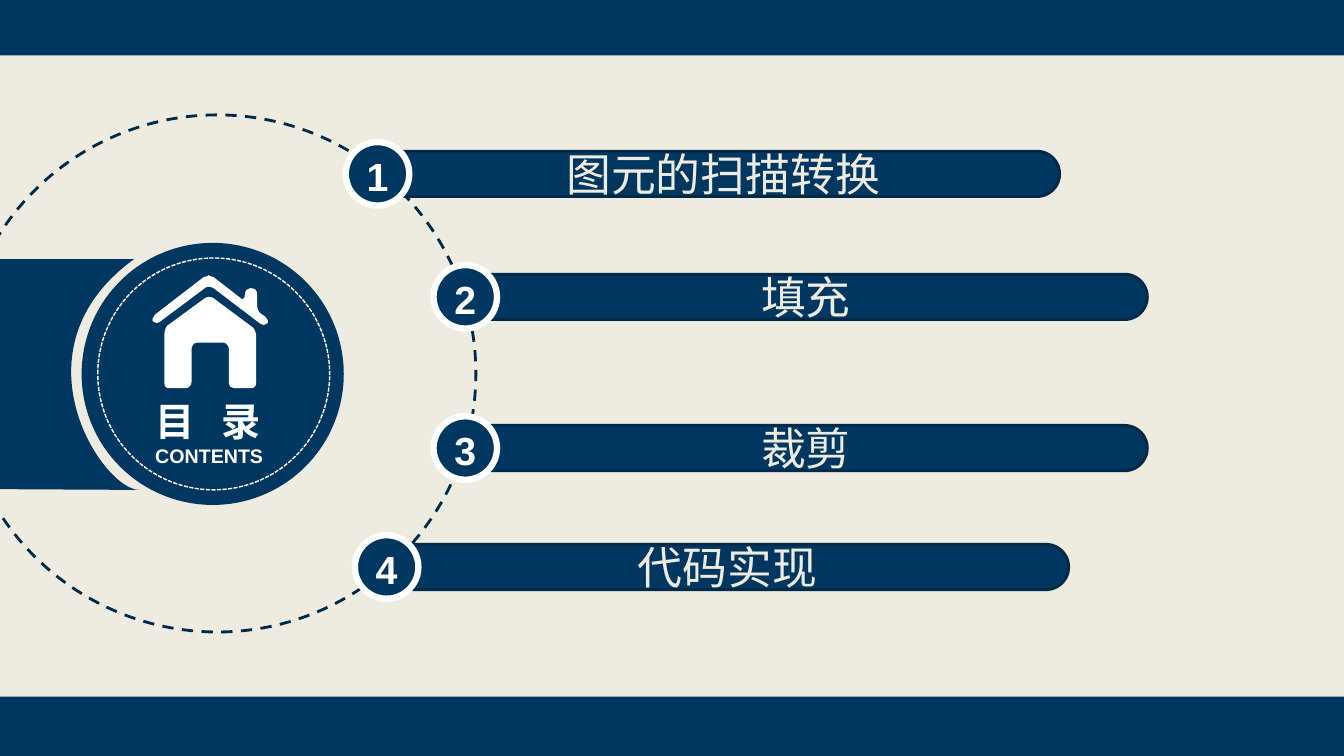
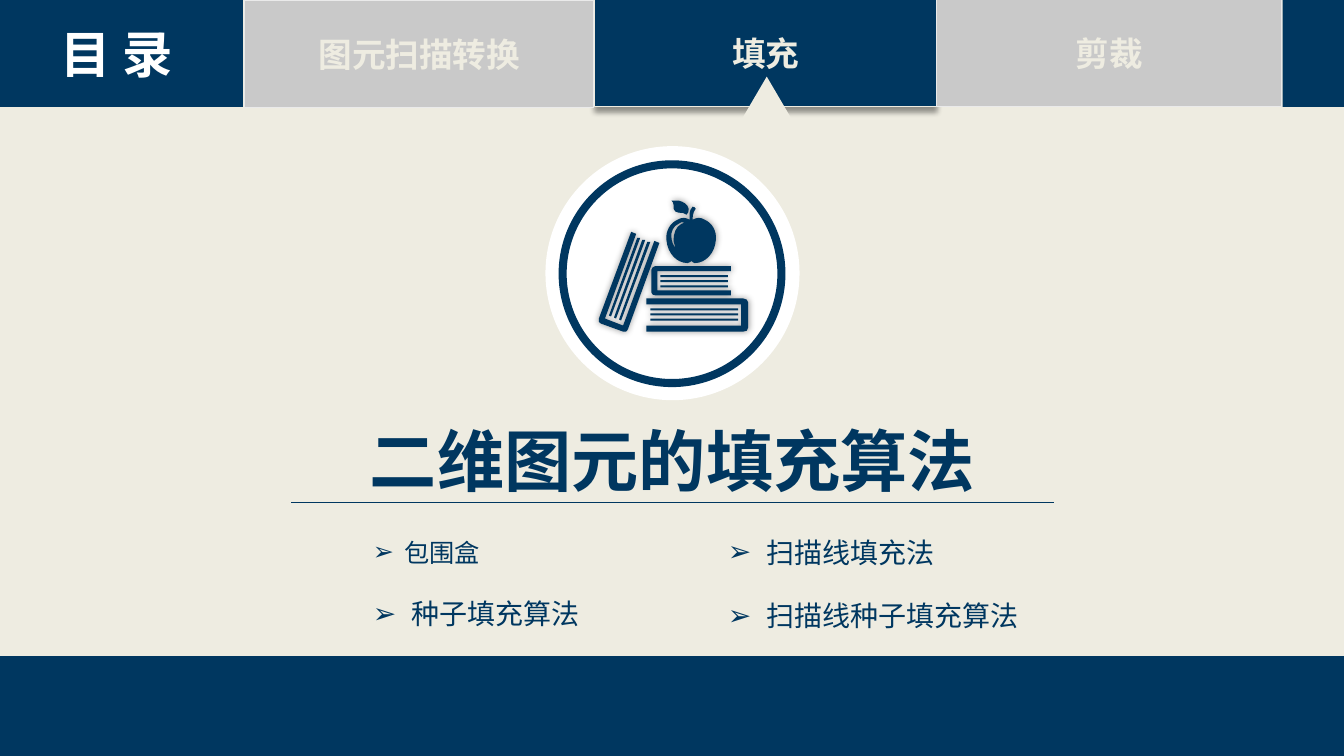
from pptx import Presentation
from pptx.dml.color import RGBColor
from pptx.enum.dml import MSO_LINE
from pptx.enum.shapes import MSO_CONNECTOR, MSO_SHAPE
from pptx.enum.text import MSO_ANCHOR, PP_ALIGN
from pptx.oxml.ns import qn
from pptx.util import Inches, Pt
from lxml.etree import SubElement

# Shared colours and text styles
NAVY, DARK, CREAM, WHITE = "003760", "002947", "EEECE1", "FFFFFF"
GREY, PALE = "C9C9C9", "EAEAEA"
WIDTH, HEIGHT = 13.33, 7.5

HEAD = {"name": "Arial", "size": Pt(36), "bold": True, "color": WHITE}
TITLE = {**HEAD, "size": Pt(48), "color": NAVY}
MARK = {**HEAD, "size": Pt(28)}
SMALL = {**HEAD, "size": Pt(14)}
PILL = {**HEAD, "size": Pt(32), "bold": False, "color": CREAM}
TAB = {**HEAD, "name": "Calibri", "size": Pt(24), "color": CREAM}
ITEM = {**HEAD, "size": Pt(20), "bold": False, "color": NAVY}

# Icon outlines in inches: M moves, L draws lines, C draws curves
HOUSE = """M 2.12 2.96 C 2.1 2.94 2.05 2.94 2.03 2.96 L 1.66 3.23
C 1.64 3.25 1.63 3.29 1.63 3.33 L 1.63 3.79 C 1.63 3.83 1.64 3.85 1.68 3.85
L 1.85 3.85 C 1.86 3.85 1.9 3.83 1.9 3.79 L 1.9 3.46
C 1.9 3.44 1.92 3.4 1.95 3.4 L 2.22 3.4 C 2.25 3.4 2.27 3.44 2.27 3.46
L 2.27 3.79 C 2.27 3.83 2.29 3.85 2.32 3.85 L 2.49 3.85
C 2.53 3.85 2.54 3.83 2.54 3.79 L 2.54 3.33 C 2.54 3.31 2.53 3.27 2.51 3.25"""
ROOF = """M 2.6 3.12 C 2.56 3.1 2.55 3.06 2.55 3.02 L 2.55 2.92
C 2.55 2.88 2.53 2.86 2.49 2.86 L 2.48 2.86 C 2.46 2.86 2.43 2.88 2.43 2.92
C 2.43 2.96 2.41 2.98 2.39 2.96 L 2.12 2.75 C 2.1 2.75 2.07 2.73 2.07 2.73
C 2.07 2.73 2.05 2.75 2.02 2.75 L 1.54 3.12 C 1.52 3.14 1.5 3.18 1.52 3.19
C 1.54 3.21 1.56 3.21 1.59 3.19 L 2.03 2.86 C 2.05 2.84 2.09 2.84 2.12 2.86
L 2.58 3.21 C 2.6 3.23 2.63 3.23 2.65 3.21 C 2.67 3.19 2.65 3.16 2.63 3.14"""
RIBBON = "M -0.5 2.57 L 1.33 2.57 C 0.09 3.47 1.02 4.86 1.38 4.86 L -0.5 4.85"
APPLE = """M 6.73 2.11 C 6.7 2.11 6.69 2.09 6.68 2.07 C 6.68 2.06 6.68 2.04 6.68 2.03
C 6.68 2.01 6.67 2 6.66 1.99 L 6.73 1.99 C 6.77 2 6.82 2.02 6.83 2.07
C 6.83 2.09 6.83 2.12 6.81 2.13 C 6.79 2.11 6.76 2.11 6.73 2.11
M 6.79 2.21 C 6.77 2.2 6.76 2.2 6.73 2.22 C 6.68 2.24 6.65 2.3 6.66 2.36
C 6.66 2.39 6.68 2.44 6.7 2.46 C 6.69 2.44 6.69 2.41 6.68 2.39
C 6.68 2.32 6.7 2.25 6.76 2.22 C 6.77 2.22 6.78 2.21 6.79 2.21
M 6.99 2.18 C 7.06 2.21 7.11 2.29 7.1 2.38 C 7.09 2.51 7 2.61 6.89 2.61
C 6.88 2.61 6.87 2.6 6.86 2.59 C 6.84 2.6 6.83 2.61 6.82 2.61
C 6.71 2.61 6.62 2.51 6.61 2.38 C 6.6 2.29 6.65 2.21 6.72 2.18
C 6.77 2.15 6.8 2.16 6.84 2.18 C 6.84 2.14 6.83 2.09 6.87 2.05
C 6.88 2.05 6.9 2.06 6.9 2.07 C 6.87 2.11 6.87 2.15 6.87 2.18
C 6.91 2.16 6.94 2.15 6.99 2.18"""
COVERS = """M 6.52 2.69 L 6.52 2.88 7.25 2.88 7.25 2.93 6.5 2.93
C 6.48 2.93 6.46 2.92 6.46 2.9 L 6.46 2.68 C 6.46 2.66 6.48 2.64 6.5 2.64
L 7.25 2.64 7.25 2.69
M 7.35 3.02 L 7.35 3.23 6.41 3.23 6.41 3.29 7.37 3.29
C 7.4 3.29 7.42 3.28 7.42 3.25 L 7.42 3 C 7.42 2.98 7.4 2.96 7.37 2.96
L 6.41 2.96 6.41 3.02
M 6 3.16 L 6.18 3.23 6.49 2.39 6.54 2.41 6.23 3.26
C 6.22 3.29 6.2 3.3 6.18 3.29 L 5.96 3.21 C 5.94 3.21 5.93 3.18 5.94 3.16
L 6.26 2.3 6.31 2.32"""


def rgb(tone):
    return RGBColor.from_string(tone)


def paint(shape, fill=None, line=None, width=1, dash=None):
    shape.shadow.inherit = False
    if fill:
        shape.fill.solid()
        shape.fill.fore_color.rgb = rgb(fill)
    else:
        shape.fill.background()
    if line:
        shape.line.color.rgb = rgb(line)
        shape.line.width = Pt(width)
        shape.line.dash_style = dash
    else:
        shape.line.fill.background()
    return shape


def add(slide, kind, box, fill=None, **look):
    shape = slide.shapes.add_shape(kind, *map(Inches, box))
    return paint(shape, fill, **look)


def band(slide, left, top, width, height):
    return add(slide, MSO_SHAPE.RECTANGLE, (left, top, width, height), NAVY)


def shade(shape, blur, gap, angle):
    effects = shape._element.spPr.find(qn("a:effectLst"))
    outer = SubElement(effects, qn("a:outerShdw"), blurRad=str(Pt(blur)),
                       dist=str(Pt(gap)), dir=str(angle * 60000),
                       algn="ctr", rotWithShape="0")
    tone = SubElement(outer, qn("a:srgbClr"), val="000000")
    SubElement(tone, qn("a:alpha"), val="40000")


def write(para, words, style, align=PP_ALIGN.CENTER):
    para.alignment = align
    run = para.add_run()
    run.text = words
    for key, value in style.items():
        if key == "color":
            run.font.color.rgb = rgb(value)
        else:
            setattr(run.font, key, value)
    return run


def label(shape, words, style, **frame):
    frame = {"vertical_anchor": MSO_ANCHOR.MIDDLE, "word_wrap": True, **frame}
    for key, value in frame.items():
        setattr(shape.text_frame, key, value)
    write(shape.text_frame.paragraphs[0], words, style)


def text(slide, box):
    frame = slide.shapes.add_textbox(*map(Inches, box)).text_frame
    frame.word_wrap = True
    return frame


def bullet(slide, box, words, style, indent):
    para = text(slide, box).paragraphs[0]
    props = para._p.get_or_add_pPr()
    props.set("marL", str(Inches(indent)))
    props.set("indent", str(-Inches(indent)))
    SubElement(props, qn("a:buFont"), typeface="Arial")
    SubElement(props, qn("a:buChar"), char="➢")
    write(para, words, style, PP_ALIGN.LEFT)


def trace(outline):
    """Return the points of each contour and the mode of every later point."""
    loops, modes, nums, mode = [], [], [], ""
    for token in outline.split():
        if token in "MLC":
            mode = token
            continue
        nums.append(Inches(float(token)))
        if len(nums) == 2:
            if mode == "M":
                loops.append([])
            else:
                modes.append(mode)
            loops[-1].append(tuple(nums))
            nums = []
    return loops, modes


def bend(shape, modes):
    """Join each three curve points into one cubic segment."""
    lines = list(shape._element.iter(qn("a:lnTo")))
    marked = [line for line, mode in zip(lines, modes) if mode == "C"]
    for first, second, third in zip(*[iter(marked)] * 3):
        cubic = first.getparent().makeelement(qn("a:cubicBezTo"), {})
        first.addprevious(cubic)
        for line in (first, second, third):
            cubic.append(line[0])
            line.getparent().remove(line)


def draw(slide, outline, fill):
    loops, modes = trace(outline)
    pen = slide.shapes.build_freeform(*loops[0][0], scale=1.0)
    for index, (first, *rest) in enumerate(loops):
        if index:
            pen.move_to(*first)
        pen.add_line_segments(rest, close=True)
    shape = pen.convert_to_shape()
    bend(shape, modes)
    return paint(shape, fill)


def pages():
    parts = []
    for left, right, top in ((6.55, 7.22, 2.73), (6.45, 7.32, 3.06)):
        for row in range(3):
            y = top + 0.05 * row
            parts.append(f"M {left} {y} L {right} {y} {right} {y + 0.02} {left} {y + 0.02}")
    for row in range(3):
        x, y = 6.42 - 0.05 * row, 2.4 - 0.02 * row
        parts.append(f"M {x} {y} L {x - 0.28} {y + 0.77} {x - 0.26} {y + 0.78} {x + 0.03} {y}")
    return " ".join(parts)


def entry(slide, number, words, left, top):
    pill = add(slide, MSO_SHAPE.ROUNDED_RECTANGLE, (left + 0.31, top + 0.09, 6.77, 0.45),
               NAVY, line=DARK, width=2)
    pill.adjustments[0] = 0.5
    label(pill, words, PILL)
    disc = add(slide, MSO_SHAPE.OVAL, (left, top, 0.63, 0.63), NAVY, line=WHITE, width=4.5)
    label(disc, str(number), MARK, margin_left=0, margin_right=0,
          margin_top=Inches(0.04), margin_bottom=0)


def contents(slide):
    # Round emblem
    add(slide, MSO_SHAPE.OVAL, (-0.41, 1.14, 5.13, 5.13), CREAM,
        line=DARK, width=2, dash=MSO_LINE.DASH)
    draw(slide, RIBBON, NAVY)
    add(slide, MSO_SHAPE.OVAL, (0.81, 2.41, 2.6, 2.6), NAVY)
    for outline in (HOUSE, ROOF):
        draw(slide, outline, WHITE)
    frame = text(slide, (1.44, 3.89, 1.42, 0.88))
    run = write(frame.paragraphs[0], "目 录", MARK, PP_ALIGN.LEFT)
    run._r.get_or_add_rPr().set("spc", "670")
    write(frame.add_paragraph(), "CONTENTS", SMALL, PP_ALIGN.LEFT)
    add(slide, MSO_SHAPE.OVAL, (0.97, 2.56, 2.3, 2.3), line=WHITE,
        dash=MSO_LINE.SQUARE_DOT)
    # Bands and entries
    band(slide, 0, 0, WIDTH, 0.55)
    band(slide, 0, 6.91, WIDTH, 0.59)
    entries = ((" 图元的扫描转换", 3.43, 1.41), ("填充", 4.3, 2.63),
               ("裁剪", 4.3, 4.13), ("代码实现", 3.52, 5.31))
    for number, (words, left, top) in enumerate(entries, 1):
        entry(slide, number, words, left, top)


def section(slide):
    # Tab bar
    band(slide, 0, 0, 2.41, 1.06)
    write(text(slide, (0.1, 0.18, 2.12, 0.71)).paragraphs[0], "目 录", HEAD)
    band(slide, 12.72, 0, 0.61, 1.06)
    tabs = (("填充", 5.9, 0, 3.39, NAVY, CREAM),
            ("图元扫描转换", 2.43, 0.01, 3.46, GREY, PALE),
            ("剪裁", 9.29, 0, 3.42, GREY, PALE))
    for words, left, top, width, fill, line in tabs:
        tab = add(slide, MSO_SHAPE.RECTANGLE, (left, top, width, 1.06), fill,
                  line=line, width=0.75)
        label(tab, words, TAB)
        if fill == NAVY:
            shade(tab, 4, 3, 90)
    band(slide, 0, 6.51, WIDTH, 0.99)
    # Badge with books
    add(slide, MSO_SHAPE.OVAL, (5.41, 1.45, 2.52, 2.52), WHITE)
    ring = add(slide, MSO_SHAPE.DONUT, (5.54, 1.59, 2.25, 2.25), NAVY)
    ring.adjustments[0] = 0.08 / 2.25
    shade(draw(slide, f"{APPLE} {COVERS} {pages()}", NAVY), 5, 0, 0)
    add(slide, MSO_SHAPE.ISOSCELES_TRIANGLE, (7.3, 0.76, 0.61, 0.52), CREAM)
    # Title and rule
    write(text(slide, (3.25, 4.11, 6.84, 0.91)).paragraphs[0], "二维图元的填充算法", TITLE)
    rule = slide.shapes.add_connector(MSO_CONNECTOR.STRAIGHT,
                                      *map(Inches, (2.89, 4.99, 10.45, 4.99)))
    rule.line.color.rgb = rgb(NAVY)
    rule.line.width = Pt(0.75)
    SubElement(rule._element.spPr, qn("a:effectLst"))
    # Topics
    bullet(slide, (3.6, 5.28, 1.48, 0.4), "包围盒", {**ITEM, "size": Pt(18)}, 0.31)
    topics = (("种子填充算法", 3.6, 5.87, 2.44), ("扫描线填充法", 7.12, 5.26, 3.09),
              ("扫描线种子填充算法", 7.12, 5.89, 3.85))
    for words, left, top, width in topics:
        bullet(slide, (left, top, width, 0.44), words, ITEM, 0.38)


def main():
    deck = Presentation()
    deck.slide_width, deck.slide_height = Inches(WIDTH), Inches(HEIGHT)
    back = deck.slide_master.background.fill
    back.solid()
    back.fore_color.rgb = rgb(CREAM)
    for build in (contents, section):
        build(deck.slides.add_slide(deck.slide_layouts[6]))
    deck.save("out.pptx")


if __name__ == "__main__":
    main()
